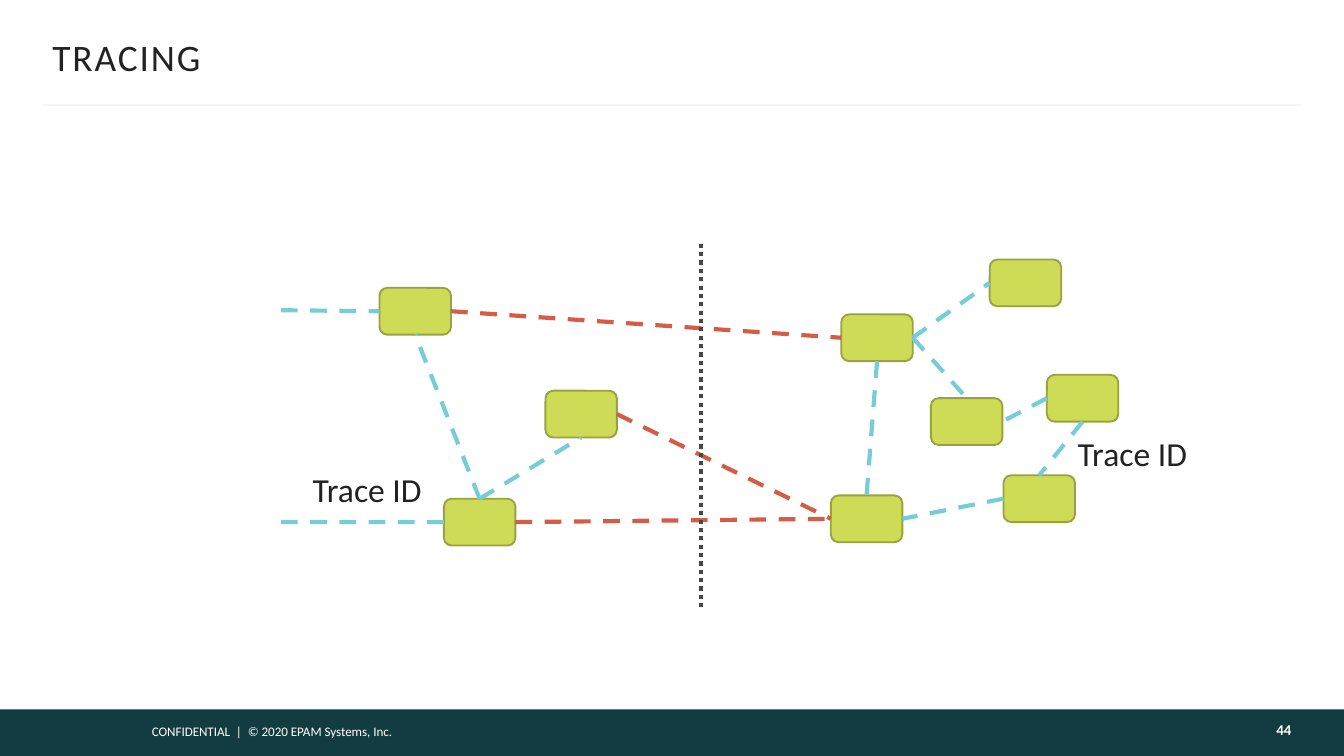
"""Build the slide that shows trace IDs passed between two groups of services."""
from dataclasses import dataclass
from typing import Optional

from pptx import Presentation
from pptx.dml.color import RGBColor
from pptx.enum.dml import MSO_LINE
from pptx.enum.shapes import MSO_CONNECTOR, MSO_SHAPE
from pptx.enum.text import MSO_ANCHOR, MSO_AUTO_SIZE, PP_ALIGN
from pptx.oxml.ns import qn
from pptx.shapes.autoshape import Shape
from pptx.shapes.connector import Connector
from pptx.slide import Slide
from pptx.util import Pt

TEAL = RGBColor(0x13, 0x3C, 0x41)
WHITE = RGBColor(0xFF, 0xFF, 0xFF)
NEAR_WHITE = RGBColor(0xFE, 0xFE, 0xFE)
PALE_GREY = RGBColor(0xF5, 0xF5, 0xF5)
INK = RGBColor(0x22, 0x22, 0x22)
LIME = RGBColor(0xCE, 0xDB, 0x56)
OLIVE = RGBColor(0x98, 0xA2, 0x40)
AQUA = RGBColor(0x76, 0xCD, 0xD8)
RED = RGBColor(0xD3, 0x5D, 0x47)
CHARCOAL = RGBColor(0x46, 0x45, 0x47)

STRAIGHT = MSO_CONNECTOR.STRAIGHT
RECTANGLE, ROUNDED = MSO_SHAPE.RECTANGLE, MSO_SHAPE.ROUNDED_RECTANGLE
DASH, DOT = MSO_LINE.DASH, MSO_LINE.ROUND_DOT
LEFT_ALIGN, CENTER, RIGHT_ALIGN = PP_ALIGN.LEFT, PP_ALIGN.CENTER, PP_ALIGN.RIGHT
ANCHOR_TOP, ANCHOR_MIDDLE = MSO_ANCHOR.TOP, MSO_ANCHOR.MIDDLE
TOP, LEFT, BOTTOM, RIGHT = range(4)

FONT = "Calibri"
TITLE_ONLY = 5
SLIDE_WIDTH, SLIDE_HEIGHT = 720, 405
FOOTER_TOP, FOOTER_HEIGHT = 380, 25
SERVICE_WIDTH, SERVICE_HEIGHT = 38.3, 25.1


@dataclass(frozen=True)
class Service:
    name: str
    left: float
    top: float


@dataclass(frozen=True)
class Call:
    source: str
    source_side: int
    target: str
    target_side: int
    color: RGBColor = AQUA


@dataclass(frozen=True)
class Request:
    left: float
    top: float
    target: str


@dataclass(frozen=True)
class Label:
    text: str
    left: float
    top: float
    width: float
    height: float
    size: float
    color: RGBColor
    align: PP_ALIGN = LEFT_ALIGN
    anchor: MSO_ANCHOR = ANCHOR_TOP
    bold: bool = False
    wrap: bool = False
    margins: tuple[float, float, float, float] = (7.2, 3.6, 7.2, 3.6)


SERVICES = [
    Service("west middle", 292.2, 209.3),
    Service("west bottom", 237.8, 267.2),
    Service("west top", 203.3, 154.2),
    Service("east hub", 450.7, 168.4),
    Service("east right", 560.8, 200.8),
    Service("east bottom", 445.1, 265.4),
    Service("east lower", 537.6, 254.6),
    Service("east middle", 498.7, 213.3),
    Service("east top", 530.2, 139),
]
CALLS = [
    Call("east hub", RIGHT, "east top", LEFT),
    Call("east hub", RIGHT, "east middle", TOP),
    Call("east right", LEFT, "east middle", RIGHT),
    Call("east right", BOTTOM, "east lower", TOP),
    Call("east lower", LEFT, "east bottom", RIGHT),
    Call("east hub", BOTTOM, "east bottom", TOP),
    Call("west top", RIGHT, "east hub", LEFT, RED),
    Call("west middle", RIGHT, "east bottom", LEFT, RED),
    Call("west bottom", RIGHT, "east bottom", LEFT, RED),
    Call("west bottom", TOP, "west middle", BOTTOM),
    Call("west bottom", TOP, "west top", BOTTOM),
]
REQUESTS = [Request(150.5, 166.2, "west top"), Request(150.5, 279.7, "west bottom")]
LABELS = [
    Label("CONFIDENTIAL  |  © 2020 EPAM Systems, Inc.", 74.2, 383.8, 190.8, 15.8,
          7, WHITE, wrap=True),
    Label("44", 583.9, FOOTER_TOP, 108, FOOTER_HEIGHT, 8, NEAR_WHITE, RIGHT_ALIGN,
          ANCHOR_MIDDLE, bold=True, margins=(7.2, 3.6, 0, 6.5)),
    Label("Trace ID", 160, 247.7, 73.4, 29, 18, INK, CENTER),
    Label("Trace ID", 570, 228.2, 73.4, 29, 18, INK, CENTER),
]


def fill_text(box: Shape, label: Label) -> None:
    """Place a text shape and write its formatted label."""
    box.left, box.top = Pt(label.left), Pt(label.top)
    box.width, box.height = Pt(label.width), Pt(label.height)
    frame = box.text_frame
    frame.text = label.text
    frame.word_wrap = label.wrap
    frame.auto_size = MSO_AUTO_SIZE.NONE
    frame.vertical_anchor = label.anchor
    (frame.margin_left, frame.margin_top,
     frame.margin_right, frame.margin_bottom) = map(Pt, label.margins)
    paragraph = frame.paragraphs[0]
    paragraph.alignment = label.align
    font = paragraph.runs[0].font
    font.name, font.size, font.bold = FONT, Pt(label.size), label.bold
    font.color.rgb = label.color


def add_block(slide: Slide, kind: MSO_SHAPE, left: float, top: float, width: float,
              height: float, fill: RGBColor, outline: Optional[RGBColor] = None) -> Shape:
    """Add a flat filled shape."""
    block = slide.shapes.add_shape(kind, Pt(left), Pt(top), Pt(width), Pt(height))
    block.shadow.inherit = False
    block.fill.solid()
    block.fill.fore_color.rgb = fill
    if outline is None:
        block.line.fill.background()
    else:
        block.line.color.rgb = outline
        block.line.width = Pt(1)
    return block


def add_line(slide: Slide, x1: float, y1: float, x2: float, y2: float, color: RGBColor,
             width: float = 2.25, dash: Optional[MSO_LINE] = DASH) -> Connector:
    """Add a straight line without shadow."""
    line = slide.shapes.add_connector(STRAIGHT, Pt(x1), Pt(y1), Pt(x2), Pt(y2))
    line.line.color.rgb = color
    line.line.width = Pt(width)
    if dash is not None:
        line.line.dash_style = dash
    properties = line._element.spPr
    properties.append(properties.makeelement(qn("a:effectLst"), {}))
    return line


def main() -> None:
    """Draw and save the slide."""
    deck = Presentation()
    deck.slide_width, deck.slide_height = Pt(SLIDE_WIDTH), Pt(SLIDE_HEIGHT)
    slide = deck.slides.add_slide(deck.slide_layouts[TITLE_ONLY])

    heading = slide.shapes.title
    fill_text(heading, Label("TRACING", 28.1, 18.2, 663.8, 24, 20, INK,
                             anchor=ANCHOR_MIDDLE, margins=(0, 3.6, 0, 3.6)))
    heading.text_frame.paragraphs[0].runs[0].font._element.set("spc", "100")

    add_block(slide, RECTANGLE, 0, FOOTER_TOP, SLIDE_WIDTH, FOOTER_HEIGHT, TEAL)
    add_line(slide, 23, 56.3, 697, 56.3, PALE_GREY, 1.5, None)

    services = {
        service.name: add_block(slide, ROUNDED, service.left, service.top,
                                SERVICE_WIDTH, SERVICE_HEIGHT, LIME, OLIVE)
        for service in SERVICES
    }
    for call in CALLS:
        link = add_line(slide, 0, 0, 0, 0, call.color)
        link.begin_connect(services[call.source], call.source_side)
        link.end_connect(services[call.target], call.target_side)
    for request in REQUESTS:
        entry = add_line(slide, request.left, request.top, request.left, request.top, AQUA)
        entry.end_connect(services[request.target], LEFT)
    add_line(slide, 375.6, 325.4, 375.6, 130.3, CHARCOAL, dash=DOT)

    for label in LABELS:
        fill_text(slide.shapes.add_textbox(0, 0, 0, 0), label)
    deck.save("out.pptx")


if __name__ == "__main__":
    main()
